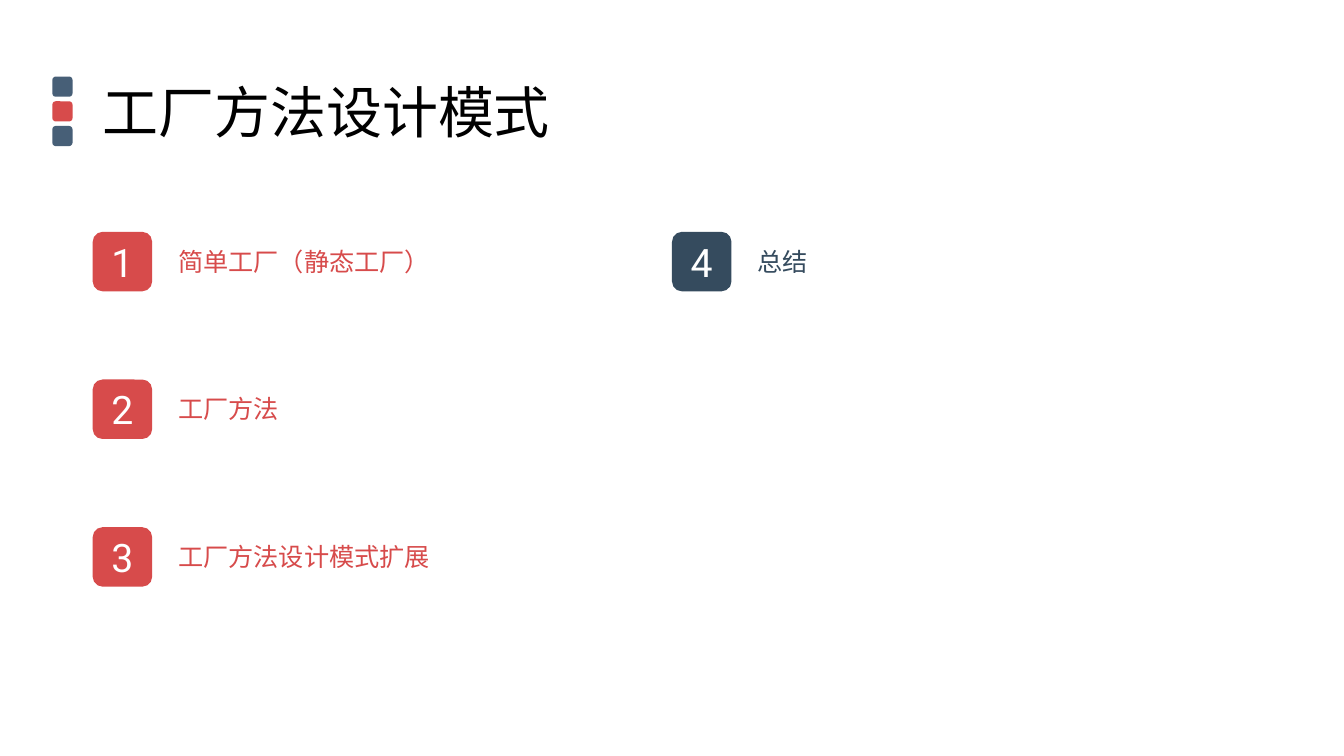
"""Build the agenda slide for the factory method design pattern."""
from pptx import Presentation
from pptx.dml.color import RGBColor
from pptx.enum.shapes import MSO_SHAPE
from pptx.enum.text import MSO_ANCHOR as ANCHOR, MSO_AUTO_SIZE as FIT, PP_ALIGN as ALIGN
from pptx.util import Inches, Pt

COLORS = {"red": "D74B4B", "slate": "475F77", "navy": "354B5E",
          "black": "000000", "white": "FFFFFF"}


def write(box, text, size, color, align=ALIGN.LEFT, anchor=ANCHOR.TOP, wrap=True, spacing=1.0):
    frame = box.text_frame
    frame.word_wrap = wrap
    frame.auto_size = FIT.NONE if wrap else FIT.SHAPE_TO_FIT_TEXT
    frame.vertical_anchor = anchor
    line = frame.paragraphs[0]
    line.alignment = align
    line.line_spacing = spacing
    run = line.add_run()
    run.text = text
    run.font.name = "Roboto"
    run.font.size = Pt(size)
    run.font.color.rgb = RGBColor.from_string(COLORS[color])


def add_square(left, top, side, color):
    square = slide.shapes.add_shape(
        MSO_SHAPE.ROUNDED_RECTANGLE, Inches(left), Inches(top), Inches(side), Inches(side))
    square.shadow.inherit = False
    square.fill.solid()
    square.fill.fore_color.rgb = RGBColor.from_string(COLORS[color])
    square.line.fill.background()
    return square


deck = Presentation()
deck.slide_width, deck.slide_height = Inches(13.34), Inches(7.5)
slide = deck.slides.add_slide(deck.slide_layouts[6])

for step, color in enumerate(["slate", "red", "slate"]):
    add_square(0.52, 0.76 + step * 0.245, 0.2, color)

title = slide.shapes.add_textbox(Inches(0.92), Inches(0.55), Inches(11.5), Inches(1.18))
write(title, "工厂方法设计模式", 40, "black", anchor=ANCHOR.MIDDLE, spacing=0.9)

topics = [("简单工厂（静态工厂）", "red"), ("工厂方法", "red"),
          ("工厂方法设计模式扩展", "red"), ("总结", "navy")]
for index, (topic, color) in enumerate(topics):
    column, row = divmod(index, 3)
    left, top = 0.92 + column * 5.75, 2.3 + row * 1.465
    badge = add_square(left, top, 0.59, color)
    write(badge, str(index + 1), 28, "white", align=ALIGN.CENTER, anchor=ANCHOR.MIDDLE)
    label = slide.shapes.add_textbox(
        Inches(left + 0.75), Inches(top + 0.09), Inches(0.2 + 0.25 * len(topic)), Inches(0.4))
    write(label, topic, 18, color, wrap=False)

deck.save("out.pptx")
